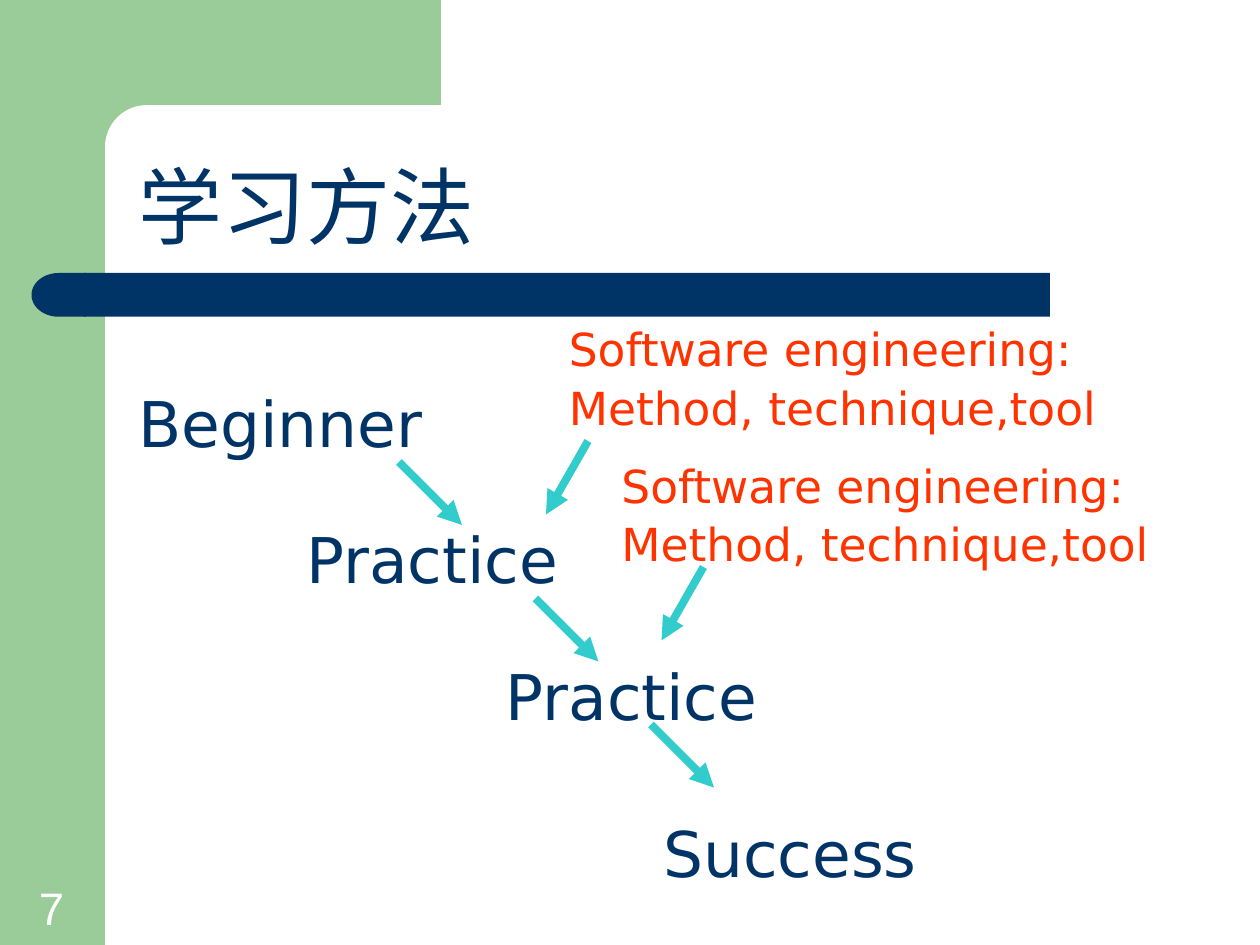
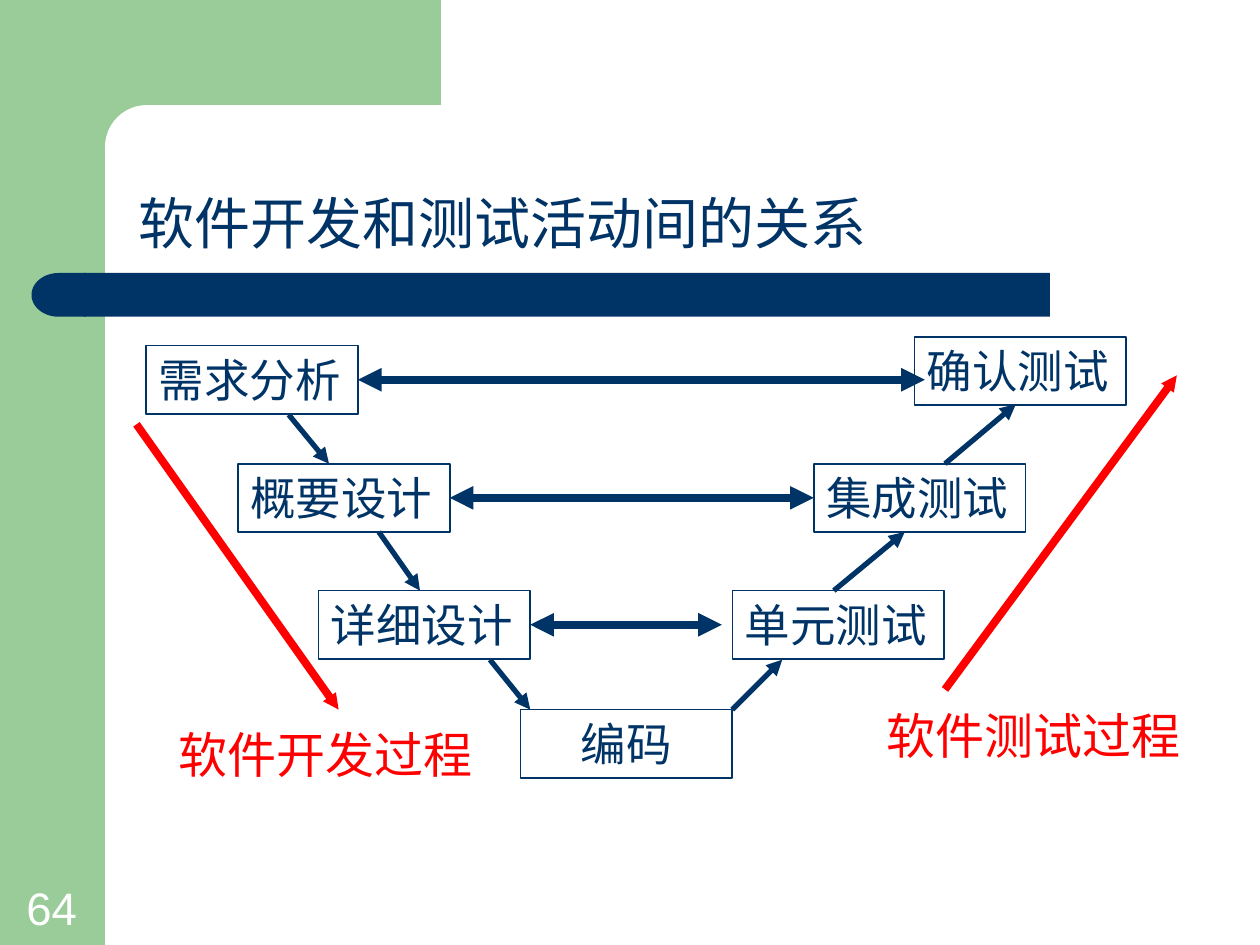
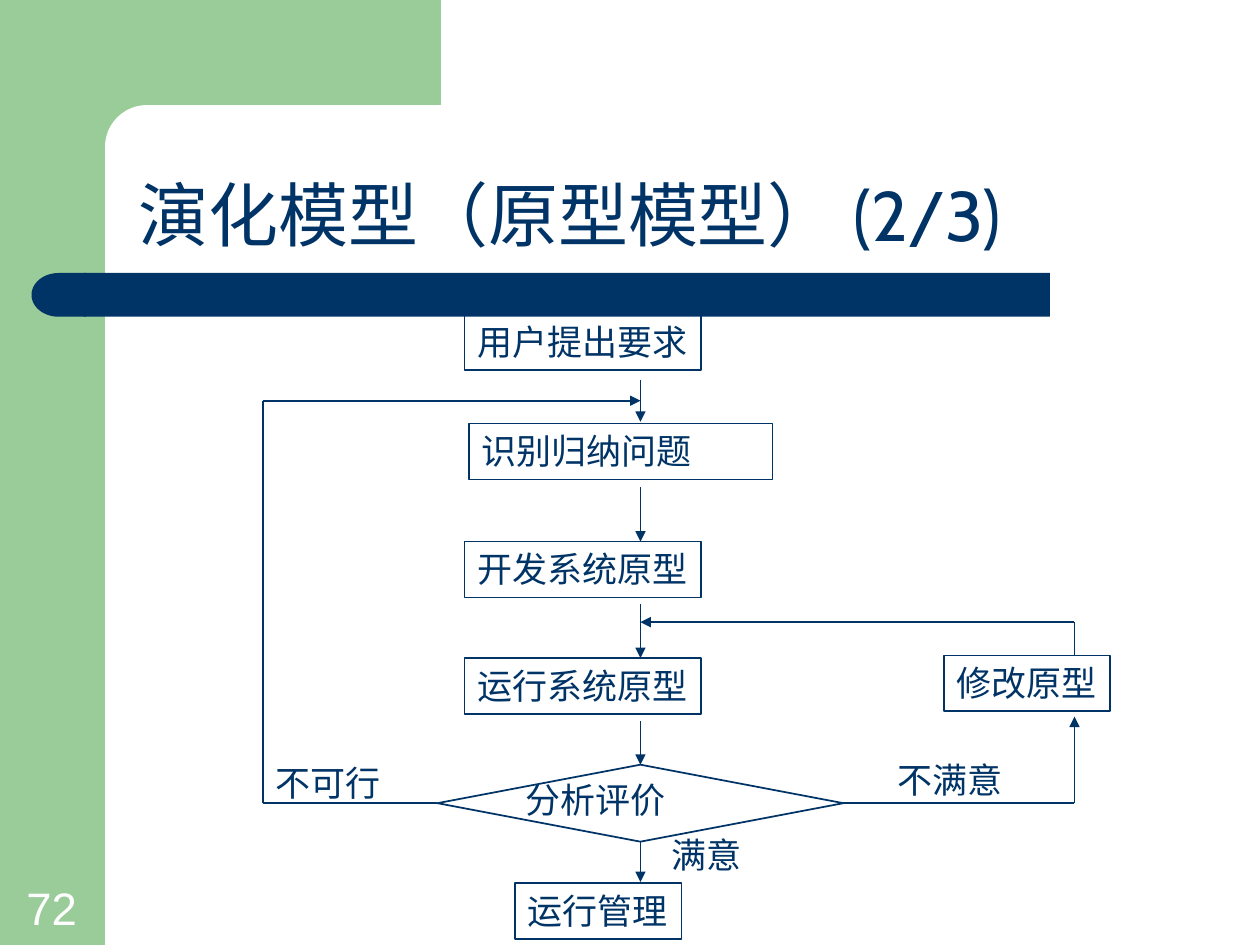
from lxml.etree import SubElement
from pptx import Presentation
from pptx.dml.color import RGBColor
from pptx.enum.shapes import MSO_CONNECTOR as LINE, MSO_SHAPE as SHAPE
from pptx.enum.text import MSO_ANCHOR as ANCHOR, MSO_AUTO_SIZE as FIT, PP_ALIGN as ALIGN
from pptx.oxml.ns import qn
from pptx.util import Pt

NAVY = RGBColor(0x00, 0x33, 0x66)
GREEN = RGBColor(0x99, 0xCC, 0x99)
WHITE = RGBColor(0xFF, 0xFF, 0xFF)
TEAL = RGBColor(0x33, 0xCC, 0xCC)
ORANGE = RGBColor(0xFF, 0x33, 0x00)
RED = RGBColor(0xFF, 0x00, 0x00)

HAN = "Noto Sans CJK SC"
SANS = "DejaVu Sans"
SERIF = "Times New Roman"
ARIAL = "Arial"

TOP, LEFT, BOTTOM, RIGHT = range(4)


def points(*values):
    return [Pt(value) for value in values]


def write(para, text, size, font, color):
    """Add one run, with the Chinese face set beside the Latin one."""
    run = para.add_run()
    run.text = text
    run.font.size = Pt(size)
    run.font.color.rgb = color
    run.font.name = font
    SubElement(run._r.get_or_add_rPr(), qn("a:ea"), typeface=HAN)


def block(slide, kind, area, color):
    shape = slide.shapes.add_shape(kind, *points(*area))
    shape.shadow.inherit = False
    shape.fill.solid()
    shape.fill.fore_color.rgb = color
    shape.line.fill.background()
    return shape


def hollow(slide, kind, area):
    shape = slide.shapes.add_shape(kind, *points(*area))
    shape.shadow.inherit = False
    shape.fill.background()
    shape.line.color.rgb = NAVY
    shape.line.width = Pt(1)
    return shape


def label(slide, text, area, size, font=SERIF, color=NAVY, align=ALIGN.LEFT,
          anchor=ANCHOR.TOP, boxed=False):
    """Place one line of text, in an outlined box if boxed."""
    if boxed:
        shape = hollow(slide, SHAPE.RECTANGLE, area)
    else:
        shape = slide.shapes.add_textbox(*points(*area))
    frame = shape.text_frame
    frame.word_wrap = True
    frame.vertical_anchor = anchor
    para = frame.paragraphs[0]
    para.alignment = align
    write(para, text, size, font, color)
    return shape


def link(slide, start, end, color=NAVY, width=1.0, head=False, tail=True, tip="med"):
    """Draw a straight line; head and tail are arrowheads at start and end."""
    line = slide.shapes.add_connector(LINE.STRAIGHT, *points(*start, *end))
    line.line.color.rgb = color
    line.line.width = Pt(width)
    props = line.element.spPr
    stroke = props.find(qn("a:ln"))
    for tag, shown in (("a:headEnd", head), ("a:tailEnd", tail)):
        if shown:
            SubElement(stroke, qn(tag), type="triangle", w=tip, len=tip)
    SubElement(props, qn("a:effectLst"))
    return line


def start_slide(deck, title, size, number, font=HAN):
    """Add a slide with the shared bands, title and number."""
    slide = deck.slides.add_slide(deck.slide_layouts[5])
    block(slide, SHAPE.RECTANGLE, (0, 0, 60, 540), GREEN)
    block(slide, SHAPE.RECTANGLE, (54, 0, 198, 83.5), GREEN)
    corner = block(slide, SHAPE.ROUNDED_RECTANGLE, (60, 60, 402, 48), WHITE)
    corner.adjustments[0] = 0.5
    block(slide, SHAPE.RECTANGLE, (48, 156, 552, 25), NAVY)
    cap = block(slide, SHAPE.FLOWCHART_DELAY, (18, 156, 31, 25), NAVY)
    cap.rotation = 180
    label(slide, str(number), (6.5, 498.5, 46, 39), 26, ARIAL, WHITE,
          ALIGN.CENTER, ANCHOR.BOTTOM)

    head = slide.shapes.title
    head.left, head.top, head.width, head.height = points(72, 60, 630, 90)
    frame = head.text_frame
    frame.word_wrap = True
    frame.auto_size = FIT.NONE
    frame.vertical_anchor = ANCHOR.BOTTOM
    para = frame.paragraphs[0]
    para.alignment = ALIGN.LEFT
    para.line_spacing = 0.9
    write(para, title, size, font, NAVY)
    slide.shapes.element.append(head.element)  # in front of the bands
    return slide


def note(slide, area):
    frame = slide.shapes.add_textbox(*points(*area)).text_frame
    frame.word_wrap = True
    first, second = frame.paragraphs[0], frame.add_paragraph()
    first.line_spacing = 0.8
    second.line_spacing = 0.5
    second.space_before = Pt(16.2)
    write(first, "Software engineering:", 26, SANS, ORANGE)
    write(second, "Method, technique,tool", 26, SANS, ORANGE)


def method_slide(deck):
    slide = start_slide(deck, "学习方法", 48, 7)
    for text, x, y in (("Beginner", 72, 216), ("Practice", 168, 294),
                       ("Practice", 282, 372), ("Success", 372, 462)):
        label(slide, text, (x, y, 204, 50), 36, SANS)
    for x, y in ((228, 264), (306, 342), (372, 414)):
        link(slide, (x, y), (x + 36, y + 36), TEAL, 4.5)
    for x, y in ((336, 252), (402, 324)):
        link(slide, (x, y), (x - 24, y + 42), TEAL, 4.5)
    note(slide, (318, 186, 402, 64))
    note(slide, (348, 264, 372, 64))


def testing_slide(deck):
    slide = start_slide(deck, "软件开发和测试活动间的关系", 32, 64)

    def step(text, x, y, align=ALIGN.LEFT):
        return label(slide, text, (x, y, 121, 39), 26, align=align, boxed=True)

    need = step("需求分析", 83.5, 197.5)
    outline = step("概要设计", 136, 265)
    detail = step("详细设计", 182, 337.5)
    step("编码", 297.5, 405.5, ALIGN.CENTER)
    step("单元测试", 418.5, 337.5)
    joint = step("集成测试", 465, 265)
    step("确认测试", 522.5, 192.5)

    for box, end in ((need, 528.5), (outline, 465), (detail, 412.5)):
        mid = (box.top + box.height / 2) / Pt(1)
        pair = link(slide, (0, mid), (end, mid), NAVY, 4.5, head=True)
        pair.begin_connect(box, RIGHT)
        if box is outline:
            pair.end_connect(joint, LEFT)

    for start, end in (((165, 237), (188, 265)), ((216.5, 304), (240, 337.5)),
                       ((280, 377), (303, 405.5)), ((418.5, 405.5), (447, 377)),
                       ((476.5, 337.5), (517, 304)), ((540, 265), (580.5, 231))):
        link(slide, start, end, NAVY, 3)

    link(slide, (78, 242.5), (193.5, 405.5), RED, 4.5, tip="sm")
    link(slide, (540, 394), (672.5, 214.5), RED, 4.5, tip="sm")
    label(slide, "软件开发过程", (95, 410.5, 190, 41), 28, color=RED)
    label(slide, "软件测试过程", (499.5, 399.5, 190, 41), 28, color=RED)


def model_slide(deck):
    slide = start_slide(deck, "演化模型（原型模型） (2/3)", 40, 72, "Cabin")
    high = 32
    for text, x, y, wide in (("用户提出要求", 265.5, 179.5, 135),
                             ("识别归纳问题", 268, 242, 173.5),
                             ("开发系统原型", 265.5, 309.5, 135),
                             ("运行系统原型", 265.5, 376, 135),
                             ("修改原型", 539.5, 374.5, 95),
                             ("运行管理", 294.5, 504.5, 95)):
        label(slide, text, (x, y, wide, high), 20, boxed=True)
    choice = hollow(slide, SHAPE.FLOWCHART_DECISION, (250, 437, 232, 44))
    for text, x, y, wide in (("分析评价", 293, 441.5, 100),
                             ("满意", 376.5, 472.5, 60),
                             ("不满意", 506, 430, 80),
                             ("不可行", 150.5, 431.5, 80)):
        label(slide, text, (x, y, wide, high), 20)

    spine, west, east, base = 366, 150.5, 614, 459
    for start, end in ((217, 241), (278.5, 309.5), (345, 376)):
        link(slide, (spine, start), (spine, end))
    link(slide, (spine, 412), (spine, 437)).end_connect(choice, TOP)
    link(slide, (spine, 481), (spine, 504)).begin_connect(choice, BOTTOM)

    link(slide, (482, base), (east, base), tail=False).begin_connect(choice, RIGHT)
    link(slide, (east, base), (east, 409.5))
    link(slide, (east, 374.5), (east, 355.5), tail=False)
    link(slide, (east, 355.5), (spine, 355.5))

    link(slide, (250, base), (west, base), tail=False).begin_connect(choice, LEFT)
    link(slide, (west, base), (west, 229), tail=False)
    link(slide, (west, 229), (spine, 229))


def main():
    deck = Presentation()
    deck.slide_width, deck.slide_height = points(720, 540)
    method_slide(deck)
    testing_slide(deck)
    model_slide(deck)
    deck.save("out.pptx")


if __name__ == "__main__":
    main()
